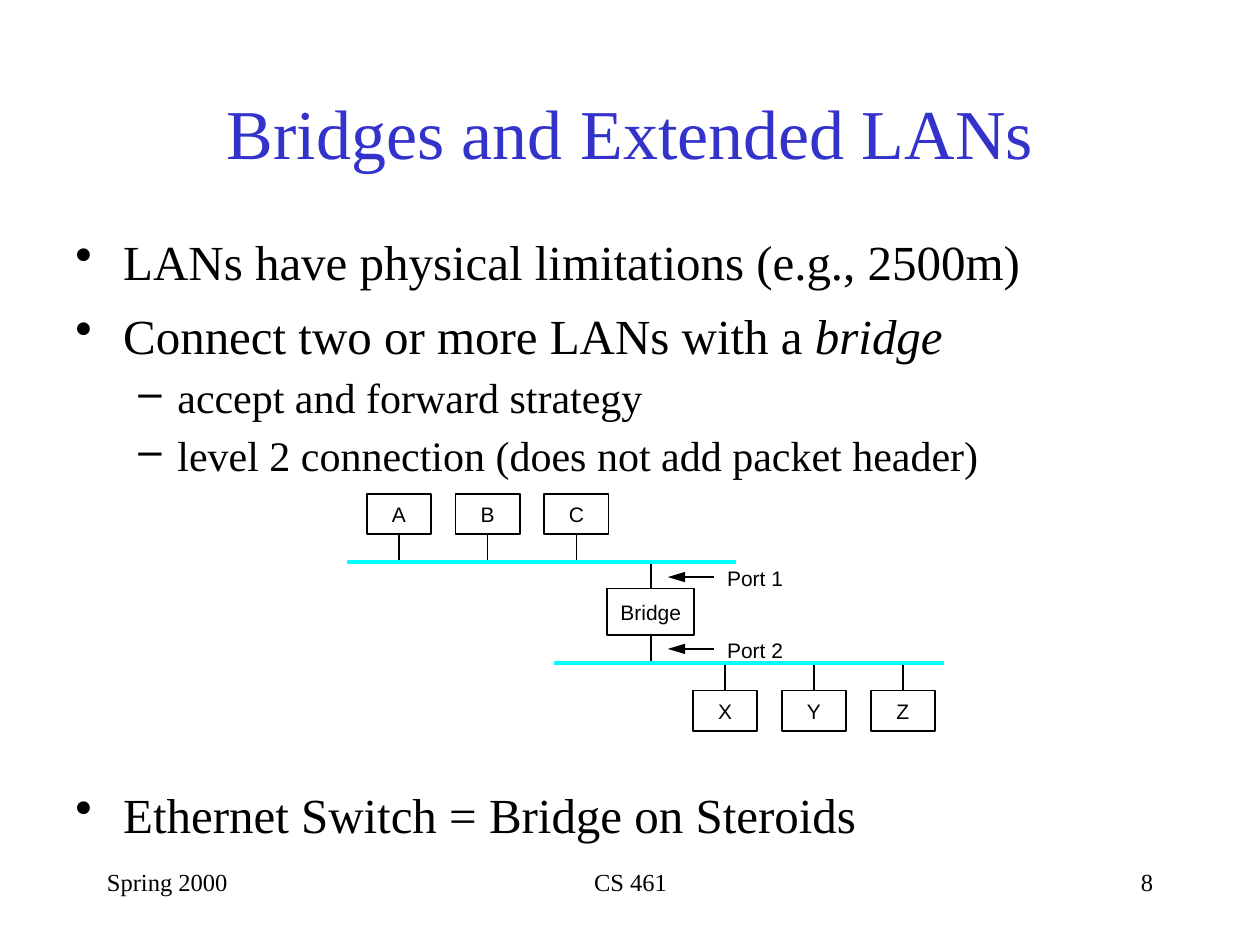
from lxml import etree
from pptx import Presentation
from pptx.dml.color import RGBColor
from pptx.enum import shapes, text
from pptx.oxml import ns
from pptx.util import Inches, Pt

COLORS = {"title": "3333CC", "ink": "000000", "bus": "00FFFF"}
SERIF, SANS = "Times New Roman", "Arial"
ALIGN, ANCHOR = text.PP_ALIGN, text.MSO_ANCHOR
NODE_W, NODE_H, PITCH = 0.51, 0.32, 0.705
BUS_W = 3.09
TOP, LEFT, BOTTOM = 0, 1, 2


def rgb(name):
    return RGBColor.from_string(COLORS[name])


def add_run(para, words, size=12, font=SANS, color="ink", italic=False):
    run = para.add_run()
    run.text = words
    run.font.size = Pt(size)
    run.font.name = font
    run.font.italic = italic
    run.font.color.rgb = rgb(color)


def add_text(slide, box, words="", align=ALIGN.LEFT, anchor=ANCHOR.TOP,
             pad=(0.1, 0.05), wrap=True, **style):
    frame = slide.shapes.add_textbox(*map(Inches, box)).text_frame
    frame.word_wrap = wrap
    frame.vertical_anchor = anchor
    frame.margin_left = frame.margin_right = Inches(pad[0])
    frame.margin_top = frame.margin_bottom = Inches(pad[1])
    para = frame.paragraphs[0]
    para.alignment = align
    if words:
        add_run(para, words, **style)
    return frame


def add_bullet(para, mark, left, hang):
    props = para._p.get_or_add_pPr()
    props.set("marL", str(Inches(left)))
    props.set("indent", str(-Inches(hang)))
    etree.SubElement(props, ns.qn("a:buChar")).set("char", mark)


def add_list(slide, box):
    # Each row: level, space before, text pieces (every second one italic)
    rows = [
        (0, 0, ["LANs have physical limitations (e.g., 2500m)"]),
        (0, 8.5, ["Connect two or more LANs with a ", "bridge"]),
        (1, 7.2, ["accept and forward strategy"]),
        (1, 7.2, ["level 2 connection (does not add packet header)"]),
        (0, 174, ["Ethernet Switch = Bridge on Steroids"]),
    ]
    kinds = [("•", 0.38, 0.38, 28, 1.0), ("–", 0.81, 0.31, 24, 0.9)]
    frame = add_text(slide, box)
    frame.margin_top = Inches(0.09)
    for i, (level, gap, parts) in enumerate(rows):
        mark, left, hang, size, lead = kinds[level]
        para = frame.add_paragraph() if i else frame.paragraphs[0]
        para.level = level
        para.line_spacing = lead
        para.space_before = Pt(gap)
        add_bullet(para, mark, left, hang)
        for j, part in enumerate(parts):
            add_run(para, part, size=size, font=SERIF, italic=j % 2 == 1)


def add_box(slide, box, label):
    rect = slide.shapes.add_shape(shapes.MSO_SHAPE.RECTANGLE, *map(Inches, box))
    rect.shadow.inherit = False
    rect.fill.background()
    rect.line.color.rgb = rgb("ink")
    rect.line.width = Pt(1)
    frame = rect.text_frame
    frame.word_wrap = False
    frame.vertical_anchor = ANCHOR.MIDDLE
    frame.margin_left = frame.margin_right = 0
    frame.margin_top = frame.margin_bottom = 0
    frame.paragraphs[0].alignment = ALIGN.CENTER
    add_run(frame.paragraphs[0], label)
    return rect


def add_line(slide, start, end, color="ink", width=1, arrow=False):
    line = slide.shapes.add_connector(
        shapes.MSO_CONNECTOR.STRAIGHT, *map(Inches, start + end))
    line.line.color.rgb = rgb(color)
    line.line.width = Pt(width)
    if arrow:
        tip = etree.SubElement(line.line._get_or_add_ln(), ns.qn("a:tailEnd"))
        for key, value in (("type", "triangle"), ("w", "med"), ("len", "lg")):
            tip.set(key, value)
    etree.SubElement(line._element.spPr, ns.qn("a:effectLst"))
    return line


def add_stem(slide, rect, side, bus_y):
    mid = (rect.left + rect.width / 2) / Inches(1)
    edge = (rect.top + (rect.height if side == BOTTOM else 0)) / Inches(1)
    add_line(slide, (mid, edge), (mid, bus_y)).begin_connect(rect, side)


def add_lan(slide, names, left, top, side, bus_x, bus_y):
    for i, name in enumerate(names):
        node = add_box(slide, (left + i * PITCH, top, NODE_W, NODE_H), name)
        add_stem(slide, node, side, bus_y)
    add_line(slide, (bus_x, bus_y), (bus_x + BUS_W, bus_y), "bus", 2)


def add_port(slide, label, y):
    add_line(slide, (5.67, y), (5.3, y), arrow=True)
    add_text(slide, (5.77, y - 0.09, 0.45, 0.2), label, pad=(0, 0), wrap=False)


def main():
    deck = Presentation()
    deck.slide_width, deck.slide_height = Inches(10), Inches(7.5)
    slide = deck.slides.add_slide(deck.slide_layouts[6])

    # Title and bullets
    add_text(slide, (0.75, 0.42, 8.5, 1.25), "Bridges and Extended LANs",
             align=ALIGN.CENTER, anchor=ANCHOR.MIDDLE,
             size=40, font=SERIF, color="title")
    add_list(slide, (0.5, 1.75, 9.17, 5))

    # Bridge between two LANs
    upper, lower = 4.46, 5.26
    bridge = add_box(slide, (4.82, 4.67, 0.69, 0.37), "Bridge")
    add_stem(slide, bridge, TOP, upper)
    add_stem(slide, bridge, BOTTOM, lower)
    add_lan(slide, "ABC", 2.91, 3.92, BOTTOM, 2.75, upper)
    add_lan(slide, "XYZ", 5.5, 5.48, TOP, 4.4, lower)
    add_port(slide, "Port 1", 4.58)
    add_port(slide, "Port 2", 5.15)

    # Footer
    for left, width, words, align in (
            (0.75, 2.08, "Spring 2000", ALIGN.LEFT),
            (3.42, 3.17, "CS 461", ALIGN.CENTER),
            (7.17, 2.08, "8", ALIGN.RIGHT)):
        add_text(slide, (left, 6.83, width, 0.5), words, align=align,
                 size=14, font=SERIF)

    deck.save("out.pptx")


if __name__ == "__main__":
    main()
